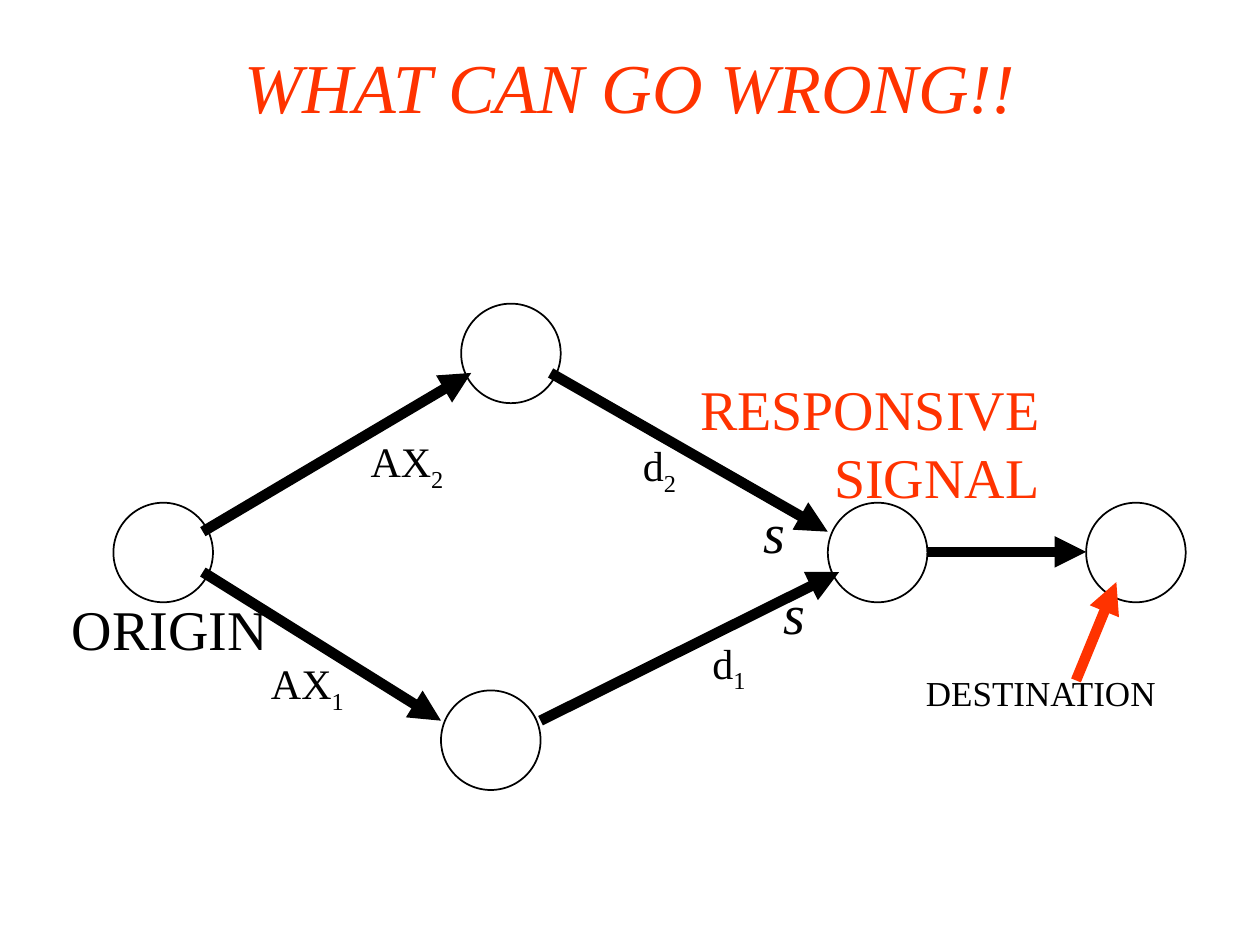
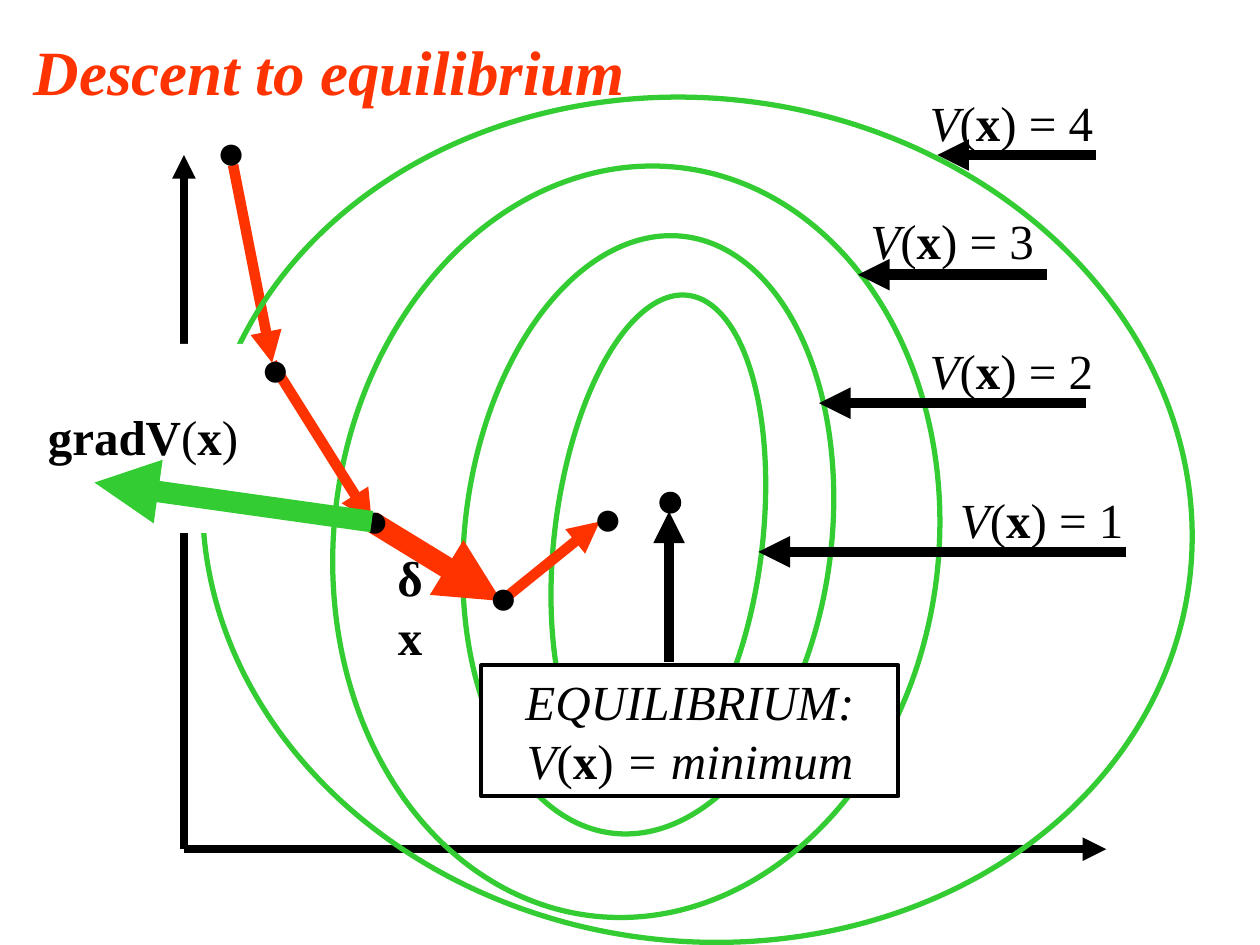
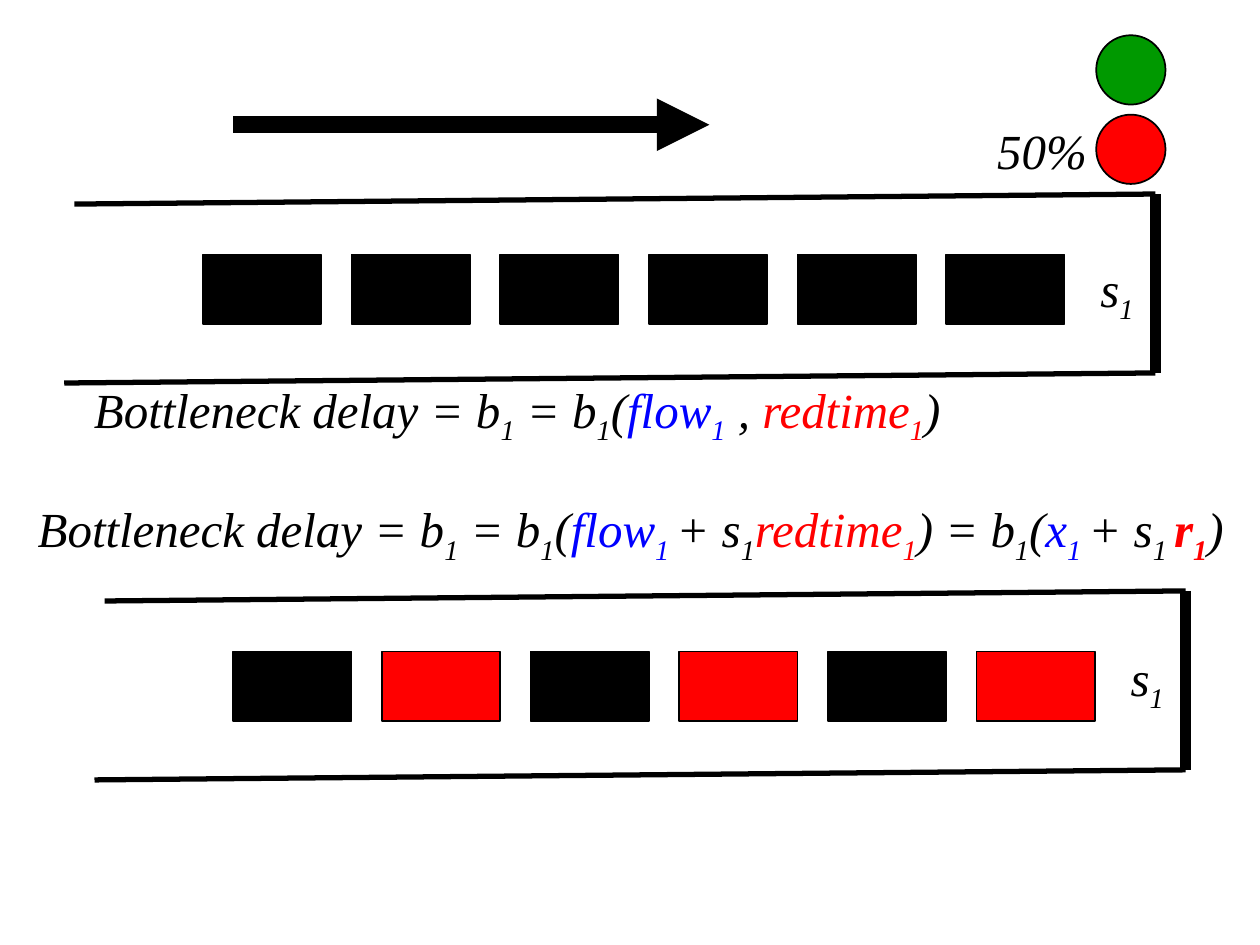
from pptx import Presentation
from pptx.dml.color import RGBColor
from pptx.enum.shapes import MSO_CONNECTOR, MSO_SHAPE
from pptx.enum.text import MSO_ANCHOR, PP_ALIGN
from pptx.oxml.ns import qn
from pptx.util import Inches, Pt
from lxml.etree import SubElement

COLORS = {
    "black": "000000", "white": "FFFFFF", "orange": "FF3300", "contour": "33CC33",
    "red": "FF0000", "green": "009900", "blue": "0000FF",
}
FONT = "Times New Roman"
LEFT, CENTER, RIGHT = PP_ALIGN.LEFT, PP_ALIGN.CENTER, PP_ALIGN.RIGHT


def rgb(name):
    return RGBColor.from_string(COLORS[name])


def write_text(shape, paragraphs, size, align=CENTER, color="black", italic=False,
               bold=False, spacing=None, before=0, indent=0, wrap=True,
               anchor=MSO_ANCHOR.TOP):
    """Fill a shape with paragraphs of (text, flags) runs.

    Flags are words: sub, bold, italic or a colour name.
    """
    frame = shape.text_frame
    frame.word_wrap = wrap
    frame.vertical_anchor = anchor
    for index, runs in enumerate(paragraphs):
        paragraph = frame.add_paragraph() if index else frame.paragraphs[0]
        paragraph.alignment = align
        if spacing:
            paragraph.line_spacing = spacing
        if index:
            paragraph.space_before = Pt(before)
        if indent:
            paragraph._p.get_or_add_pPr().set("marL", str(Inches(indent)))
        font = paragraph.font
        font.name, font.size = FONT, Pt(size)
        font.bold, font.italic = bold, italic
        font.color.rgb = rgb(color)
        for text, flags in runs:
            run = paragraph.add_run()
            run.text = text
            for flag in flags.split():
                if flag == "sub":
                    run.font._element.set("baseline", "-25000")
                elif flag in COLORS:
                    run.font.color.rgb = rgb(flag)
                else:
                    setattr(run.font, flag, True)


def add_text(slide, box, runs, size, **style):
    """Add a text box; runs is a plain string or a list of runs."""
    shape = slide.shapes.add_textbox(*map(Inches, box))
    write_text(shape, [[(runs, "")] if isinstance(runs, str) else runs], size, **style)
    return shape


def add_title(slide, box, text, size, **style):
    add_text(slide, box, text, size, color="orange", italic=True, **style)


def add_preset(slide, kind, box, fill=None, line="black", width=1, rotation=0):
    shape = slide.shapes.add_shape(kind, *map(Inches, box))
    shape.shadow.inherit = False
    shape.rotation = rotation
    if fill:
        shape.fill.solid()
        shape.fill.fore_color.rgb = rgb(fill)
    else:
        shape.fill.background()
    if line:
        shape.line.color.rgb = rgb(line)
        shape.line.width = Pt(width)
    else:
        shape.line.fill.background()
    return shape


def add_line(slide, start, end, width=6, color="black", arrow=False):
    connector = slide.shapes.add_connector(
        MSO_CONNECTOR.STRAIGHT, *map(Inches, (*start, *end)))
    connector.line.color.rgb = rgb(color)
    connector.line.width = Pt(width)
    if arrow:
        SubElement(connector.line._get_or_add_ln(), qn("a:tailEnd"), type="triangle")
    SubElement(connector._element.spPr, qn("a:effectLst"))


def add_arrow(slide, start, end, width=6, color="black"):
    add_line(slide, start, end, width, color, arrow=True)


def build_network_slide(slide):
    add_title(slide, (0.5, 0.3, 9, 1.25), "WHAT CAN GO WRONG!!", 40)

    node_size = 0.79
    nodes = {"origin": (0.9, 3.99), "signal": (6.57, 3.99), "lower": (3.5, 5.48),
             "upper": (3.66, 2.41), "destination": (8.62, 3.99)}
    for corner in nodes.values():
        add_preset(slide, MSO_SHAPE.OVAL, (*corner, node_size, node_size))

    links = [((1.61, 4.22), (3.74, 2.96)), ((4.37, 2.96), (6.57, 4.22)),
             ((7.36, 4.38), (8.62, 4.38)), ((1.61, 4.54), (3.5, 5.72)),
             ((4.29, 5.72), (6.66, 4.54))]
    for start, end in links:
        add_arrow(slide, start, end)
    add_arrow(slide, (8.54, 5.4), (8.86, 4.62), color="orange")

    label_width, label_height = 4.29, 0.32
    add_text(slide, (5.87, 5.4, label_width, label_height), "DESTINATION", 20,
             align=LEFT, spacing=0.6, indent=1.38)
    add_text(slide, (-0.91, 4.77, label_width, label_height), "ORIGIN", 32,
             align=LEFT, spacing=0.8, indent=1.38)
    signal_label = slide.shapes.add_textbox(
        *map(Inches, (4.06, 3.03, label_width, label_height)))
    write_text(signal_label, [[("RESPONSIVE", "")], [("SIGNAL", "")]], 32,
               align=RIGHT, color="orange", spacing=0.8, before=8)

    for corner in ((5.87, 4.54), (5.71, 3.9)):
        add_text(slide, (*corner, 0.87, 0.64), "s", 32, italic=True)
    for name, number, left, top, width in (
            ("d", "2", 4.92, 3.44, 0.63), ("d", "1", 5.47, 5.01, 0.63),
            ("AX", "2", 2.48, 3.41, 1.5), ("AX", "1", 1.69, 5.17, 1.5)):
        add_text(slide, (left, top, width, 0.56), [(name, ""), (number, "sub")], 24)


def potential(tail):
    return [("V", "italic"), ("(", ""), ("x", "bold"), (")" + tail, "")]


def add_contour(slide, box):
    add_preset(slide, MSO_SHAPE.OVAL, box, line="contour", width=3, rotation=6.9)


def add_level(slide, value, label, start, end):
    """Label a contour and point an arrow at it."""
    add_text(slide, (*label, 2.52, 0.57), potential(f" = {value}"), 28,
             align=LEFT, anchor=MSO_ANCHOR.MIDDLE)
    add_arrow(slide, start, end)


def build_descent_slide(slide):
    add_title(slide, (0.17, 0.21, 9, 1.25), "Descent to equilibrium", 36,
              align=LEFT, bold=True)
    axis_origin = (1.46, 6.74)
    for axis_end in ((8.78, 6.74), (1.46, 1.23)):
        add_arrow(slide, axis_origin, axis_end, 4.5)
    add_preset(slide, MSO_SHAPE.OVAL, (5.24, 3.91, 0.16, 0.16), fill="black")

    for box in ((4.4, 2.33, 1.65, 3.91), (2.65, 1.31, 4.8, 5.98),
                (3.69, 1.86, 2.91, 4.77)):
        add_contour(slide, box)
    add_level(slide, 4, (7.28, 0.68), (8.7, 1.23), (7.44, 1.23))
    add_level(slide, 2, (7.28, 2.65), (8.62, 3.2), (6.5, 3.2))
    add_level(slide, 1, (7.52, 3.83), (8.94, 4.38), (6.02, 4.38))
    add_preset(slide, MSO_SHAPE.RECTANGLE, (5.47, 3.99, 0.24, 0.32),
               fill="white", line=None)

    steps = [(1.85, 1.31), (2.16, 2.88), (2.95, 4.14), (3.98, 4.77), (4.76, 4.14)]
    step_widths = [6, 6, 12.25, 6]
    for start, end, width in zip(steps, steps[1:], step_widths):
        add_arrow(slide, start, end, width, "orange")
    add_contour(slide, (1.6, 0.78, 7.87, 6.69))
    add_level(slide, 3, (6.81, 1.62), (8.31, 2.18), (6.81, 2.18))

    equilibrium = add_preset(slide, MSO_SHAPE.RECTANGLE, (3.82, 5.28, 3.31, 1.04),
                             fill="white", width=2.25)
    write_text(equilibrium, [[("EQUILIBRIUM: ", "italic"), *potential(""),
                              (" = minimum", "italic")]], 28)
    add_arrow(slide, (5.31, 5.25), (5.31, 4.06))

    gradient = add_preset(slide, MSO_SHAPE.RECTANGLE, (0.28, 2.73, 1.71, 1.5),
                          fill="white", line=None)
    gradient.text_frame.margin_top = Inches(0.5)
    write_text(gradient, [[("gradV", "bold"), ("(", ""), ("x", "bold"), (")", "")]],
               28, wrap=False)
    add_text(slide, (2.96, 4.3, 0.59, 0.57), "δx", 28, bold=True, wrap=False)
    for corner in ((1.62, 0.91), (1.97, 2.63), (2.76, 3.83), (3.78, 4.44), (4.61, 3.81)):
        add_text(slide, (*corner, 0.43, 0.57), "●", 28, italic=True, wrap=False)
    add_arrow(slide, steps[2], (0.75, 3.83), 12.25, "contour")


def add_queue(slide, left, top, car_colors, label_drop):
    """Draw a road with its stop line, cars and capacity label."""
    stop = left + 8.66
    add_line(slide, (left + 0.08, top + 0.08), (stop, top), 3)
    add_line(slide, (left, top + 1.5), (stop, top + 1.42), 3)
    add_line(slide, (stop, top), (stop, top + 1.42))
    for index, color in enumerate(car_colors):
        add_preset(slide, MSO_SHAPE.RECTANGLE,
                   (left + 1.1 + 1.18 * index, top + 0.48, 0.94, 0.55), fill=color)
    add_text(slide, (left + 7.96, top + label_drop, 0.79, 0.63),
             [("s", ""), ("1", "sub")], 28, italic=True)


def build_bottleneck_slide(slide):
    add_arrow(slide, (1.85, 0.99), (5.63, 0.99), 10)
    for top, color in ((0.91, "red"), (0.28, "green")):
        add_preset(slide, MSO_SHAPE.OVAL, (8.7, top, 0.55, 0.55), fill=color)
    add_text(slide, (7.76, 0.91, 1.02, 0.57), "50%", 28, italic=True)
    add_queue(slide, 0.51, 1.54, ["black"] * 6, 0.46)
    add_queue(slide, 0.75, 4.69, ["black", "red"] * 3, 0.4)

    delay = [("Bottleneck delay = b", ""), ("1", "sub"), (" = b", ""), ("1", "sub"),
             ("(", ""), ("flow", "blue")]
    red_time = [("redtime", "red"), ("1", "sub red")]
    add_text(slide, (0.64, 2.96, 6.93, 0.63),
             [*delay, ("1", "sub blue"), (" , ", ""), *red_time, (")", "")],
             28, italic=True, wrap=False)
    add_text(slide, (0.15, 3.91, 9.71, 0.63),
             [*delay, ("1 ", "sub blue"), ("+ s", ""), ("1", "sub"), *red_time,
              (") = b", ""), ("1", "sub"), ("(", ""), ("x", "blue"),
              ("1 ", "sub blue"), ("+ s", ""), ("1 ", "sub"), ("r", "bold red"),
              ("1", "sub bold red"), (")", "")],
             28, italic=True, wrap=False)


def main():
    presentation = Presentation()
    presentation.slide_width, presentation.slide_height = Inches(10), Inches(7.5)
    blank = presentation.slide_layouts[6]
    for build in (build_network_slide, build_descent_slide, build_bottleneck_slide):
        build(presentation.slides.add_slide(blank))
    presentation.save("out.pptx")


if __name__ == "__main__":
    main()
